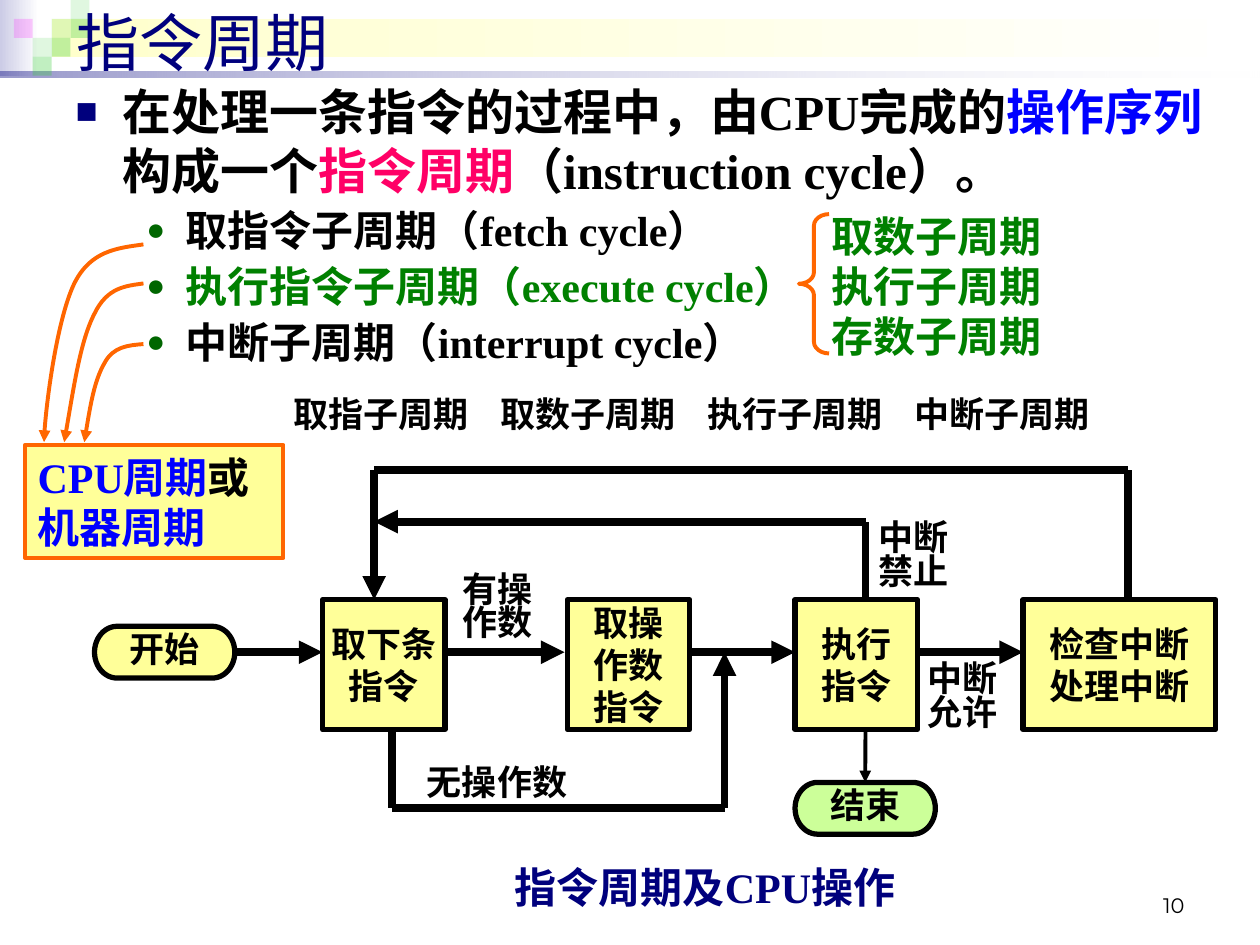
"""Builds the instruction cycle slide with its CPU flow chart."""
from lxml import etree
from pptx import Presentation
from pptx.dml.color import RGBColor
from pptx.enum.dml import MSO_LINE
from pptx.enum.lang import MSO_LANGUAGE_ID
from pptx.enum.shapes import MSO_CONNECTOR, MSO_SHAPE
from pptx.enum.text import MSO_ANCHOR, MSO_AUTO_SIZE, PP_ALIGN
from pptx.oxml.ns import qn
from pptx.util import Pt

RECT, TERMINATOR, BRACE = MSO_SHAPE.RECTANGLE, MSO_SHAPE.FLOWCHART_TERMINATOR, MSO_SHAPE.LEFT_BRACE
LEFT, CENTER, RIGHT = PP_ALIGN.LEFT, PP_ALIGN.CENTER, PP_ALIGN.RIGHT
TOP, MIDDLE, BOTTOM = MSO_ANCHOR.TOP, MSO_ANCHOR.MIDDLE, MSO_ANCHOR.BOTTOM
STRAIGHT, SOLID = MSO_CONNECTOR.STRAIGHT, MSO_LINE.SOLID
CHINESE, NO_FIT = MSO_LANGUAGE_ID.SIMPLIFIED_CHINESE, MSO_AUTO_SIZE.NONE
THEME = dict(
    navy="00007D", black="000000", white="FFFFFF", blue="0000FF", pink="FF0066", green="008000",
    dot="006600", yellow="FFFF99", lime="CCFF99", orange="FF6600", tile="33CC33", magenta="FF00FF",
    lilac="CCCCE6", cream="FFFFCC", serif="Times New Roman", sans="Arial", number="Montserrat",
    title=36, lead=28, text=24, label=20, small=12)
INSETS, FLUSH = (7.2, 3.6, 7.2, 3.6), (0, 0, 0, 0)

BANDS = [((0, 0, 22.3, 43.2), ("lilac", 100), ("white", 100)),
         ((29.5, 10.8, 687.6, 21.6), ("cream", 100), ("white", 100)),
         ((0, 41, 720, 3.6), ("navy", 40), ("white", 10))]
TILE, TILE_LEFT = 10.8, 7.9
TILES = [(2, 1, "tile", 15), (3, 0, "tile", 15), (3, 1, "tile", 30), (1, 2, "tile", 15),
         (0, 1, "magenta", 20), (2, 2, "tile", 30), (1, 3, "tile", 30)]
TITLE = "指令周期"
LEAD = [("在处理一条指令的过程中，由CPU完成的", "black"), ("操作序列", "blue"), ("构成一个", "black"),
        ("指令周期", "pink"), ("（instruction cycle）。", "black")]
CYCLES = [[("取指令子周期（fetch cycle）", "black")], [("执行指令子周期（execute cycle）", "green")],
          [("中断子周期（interrupt cycle）", "black")]]
PARTS = ["取数子周期", "执行子周期", "存数子周期"]
PHASES = ["取指子周期", "取数子周期", "执行子周期", "中断子周期"]
PHASE_PITCH = 118.3
CAPTION = "指令周期及CPU操作"
MACHINE = [("CPU周期", "blue"), ("或", "black"), ("\n", "black"), ("机器周期", "blue")]
NUMBER = "10"

BOX_TOP, BOX_HEIGHT, AXIS = 342.7, 74.2, 372.7
BOX_BOTTOM = BOX_TOP + BOX_HEIGHT
BOXES = [(184.3, 70, 0, ["取下条", "指令"]), (324.2, 70, 7.2, ["取操作数", "指令"]),
         (454.3, 70, 7.2, ["执行", "指令"]), (584.6, 110.2, 0, ["检查中断", "处理中断"])]
TERMINALS = {"开始": (54, 357.9, "yellow"), "结束": (454.3, 447.1, "lime")}
LABELS = [(529.9, 380.2, 40, 38, ["中断", "允许"]), (501.8, 299.5, 40, 38, ["中断", "禁止"]),
          (264.2, 329, 40, 38, ["有操", "作数"]), (244.1, 439.2, 80, 19.4, ["无操作数"])]
OUTER, INNER, BYPASS = 268.6, 298.1, 461.5
BACK, CHECK, RUN, SKIP, JOIN = 213.8, 644.4, 494.6, 223.9, 414
FLOWS = [(254.2, AXIS, 322.6, AXIS, True), (394.6, AXIS, 454.3, AXIS, True),
         (524.2, AXIS, 584.6, AXIS, True), (RUN, INNER, BACK, INNER, True),
         (BACK, OUTER, BACK, BOX_TOP, True), (BACK, OUTER, CHECK, OUTER, False),
         (CHECK, BOX_TOP, CHECK, OUTER, False), (RUN, BOX_TOP, RUN, INNER, False),
         (SKIP, BOX_BOTTOM, SKIP, BYPASS, False), (SKIP, BYPASS, JOIN, BYPASS, False),
         (JOIN, BYPASS, JOIN, AXIS, True)]
CURVES = [
    [(82, 139.7), (67, 141.8), (51.8, 143.3), (42.5, 162), (33.1, 181.4), (25.2, 237.6), (25.2, 252.7)],
    [(82, 162), (72, 163.4), (61.2, 164.2), (54, 179.3), (46.1, 194.4), (41.8, 223.9), (36.7, 252.7)],
    [(82, 196.6), (73.4, 197.3), (64.8, 198), (59.8, 207.4), (54, 217.4), (51.1, 234.7), (48.2, 252.7)]]


def rgb(name):
    return RGBColor.from_string(THEME[name])


def sub(parent, tag, **attrs):
    return etree.SubElement(parent, qn(tag), attrs)


def place(sp, box):
    for name, value in zip(("left", "top", "width", "height"), box):
        setattr(sp, name, Pt(value))


def frame(sp, anchor=MIDDLE, insets=FLUSH, wrap=True):
    tf = sp.text_frame
    margins = zip(("margin_left", "margin_top", "margin_right", "margin_bottom"), map(Pt, insets))
    for name, value in dict(margins, vertical_anchor=anchor, word_wrap=wrap, auto_size=NO_FIT).items():
        setattr(tf, name, value)
    return tf


def write(tf, paragraphs, size, face="serif", color="black", bold=True, **layout):
    for i, runs in enumerate(paragraphs):
        p = tf.add_paragraph() if i else tf.paragraphs[0]
        for name, value in dict(dict(alignment=LEFT, space_before=Pt(0)), **layout).items():
            setattr(p, name, value)
        for text, tone in [(runs, color)] if isinstance(runs, str) else runs:
            if text == "\n":
                p.add_line_break()
                continue
            r = p.add_run()
            r.text = text
            style = dict(name=THEME[face], size=Pt(THEME[size]), bold=bold, language_id=CHINESE)
            for name, value in style.items():
                setattr(r.font, name, value)
            r.font.color.rgb = rgb(tone)


def outline(sp, color, width, arrow=False):
    sp.line.dash_style = SOLID
    sp.line.color.rgb = rgb(color)
    sp.line.width = Pt(width)
    if arrow:
        sub(sp.line._get_or_add_ln(), "a:tailEnd", type="triangle")


def shape(s, kind, box, fill=None, line=None, width=3):
    sp = s.shapes.add_shape(kind, *map(Pt, box))
    sp.shadow.inherit = False
    if fill:
        sp.fill.solid()
        sp.fill.fore_color.rgb = rgb(fill)
    else:
        sp.fill.background()
    if line:
        outline(sp, line, width)
    else:
        sp.line.fill.background()
    return sp


def textbox(s, box, **options):
    return frame(s.shapes.add_textbox(*map(Pt, box)), **options)


def fade(sp, opacities):
    for color, opacity in zip(sp._element.spPr.iter(qn("a:srgbClr")), opacities):
        sub(color, "a:alpha", val=str(opacity * 1000))


def connector(s, x1, y1, x2, y2, arrow=True, width=4.5):
    c = s.shapes.add_connector(STRAIGHT, *map(Pt, (x1, y1, x2, y2)))
    outline(c, "black", width, arrow)
    sub(c._element.spPr, "a:effectLst")
    return c


def curve(s, points):
    points = [(Pt(x), Pt(y)) for x, y in points]
    builder = s.shapes.build_freeform(*points[0])
    builder.add_line_segments(points[1:], close=False)
    sp = builder.convert_to_shape()
    sp.shadow.inherit = False
    sp.fill.background()
    outline(sp, "orange", 2.25, True)
    segments = list(sp._element.spPr.iter(qn("a:lnTo")))
    for i in range(0, len(segments), 3):
        bezier = sub(segments[i].getparent(), "a:cubicBezTo")
        for segment in segments[i:i + 3]:
            bezier.append(segment[0])
            segment.getparent().remove(segment)


def bullet(p, char, color, margin, indent):
    pPr = p._p.get_or_add_pPr()
    pPr.set("marL", str(Pt(margin)))
    pPr.set("indent", str(Pt(indent)))
    sub(sub(pPr, "a:buClr"), "a:srgbClr", val=THEME[color])
    sub(pPr, "a:buSzPct", val="75000")
    sub(pPr, "a:buChar", char=char)


def header(s):
    for box, *stops in BANDS:
        sp = shape(s, RECT, box)
        sp.fill.gradient()
        sp.fill.gradient_angle = 0
        for stop, (color, _) in zip(sp.fill.gradient_stops, stops):
            stop.color.rgb = rgb(color)
        fade(sp, [opacity for _, opacity in stops])
    for col, row, color, opacity in TILES:
        sp = shape(s, RECT, (TILE_LEFT + col * TILE, row * TILE, TILE, TILE), color)
        fade(sp, [opacity])


def text(s):
    title, body = s.shapes.title, s.placeholders[1]
    for sp, box in ((title, (36.7, -2.2, 674.6, 51.1)), (body, (36, 43.2, 675.4, 187.2))):
        s.shapes._spTree.append(sp._element)
        place(sp, box)
    write(frame(title, MIDDLE, INSETS), [TITLE], "title", "sans", "navy", False)
    tf = frame(body, TOP, INSETS)
    write(tf, [LEAD], "lead")
    bullet(tf.paragraphs[0], "■", "navy", 27, -27)
    for runs in CYCLES:
        p = tf.add_paragraph()
        bullet(p, "●", "dot", 63, -22.5)
        write(type("Line", (), {"paragraphs": [p]}), [runs], "text", level=1, space_before=Pt(3))


def flow_chart(s):
    tf = frame(shape(s, RECT, (167.8, 224.6, 455.8, 23.8), "white"), wrap=False)
    tabs = sub(tf.paragraphs[0]._p.get_or_add_pPr(), "a:tabLst")
    for i in range(1, len(PHASES)):
        sub(tabs, "a:tab", pos=str(Pt(i * PHASE_PITCH)), algn="l")
    write(tf, ["\t".join(PHASES)], "label")
    write(frame(shape(s, RECT, (247, 492.5, 311.8, 28.8), "white")), [CAPTION], "text", color="navy",
          alignment=CENTER)
    for left, width, inset, lines in BOXES:
        sp = shape(s, RECT, (left, BOX_TOP, width, BOX_HEIGHT), "yellow", "black")
        write(frame(sp, insets=(inset, 0, inset, 0)), lines, "label", "sans", alignment=CENTER)
    ends = {}
    for name, (left, top, fill) in TERMINALS.items():
        ends[name] = shape(s, TERMINATOR, (left, top, 80.2, 29.6), fill, "black")
        write(frame(ends[name], insets=(0, 0, 0, 4)), [name], "label", alignment=CENTER)
    for flow in FLOWS:
        connector(s, *flow)
    connector(s, 134.2, AXIS, BOXES[0][0], AXIS).begin_connect(ends["开始"], 3)
    connector(s, RUN, BOX_BOTTOM, RUN, 447.1, width=2.25).end_connect(ends["结束"], 0)
    for *box, lines in LABELS:
        write(textbox(s, box, wrap=False), lines, "label", alignment=CENTER, line_spacing=0.8)


def callouts(s):
    write(textbox(s, (468, 116.6, 159.1, 93.6), anchor=TOP, insets=INSETS), PARTS, "text", color="green")
    shape(s, BRACE, (456.5, 122.4, 17.3, 79.6), None, "orange", 2.25).adjustments[0] = 0.38
    sp = shape(s, RECT, (14.4, 254.2, 147.6, 64.8), "yellow", "orange", 2.25)
    write(frame(sp, TOP, INSETS), [MACHINE], "text")
    for points in CURVES:
        curve(s, points)
    write(textbox(s, (516.2, 491.8, 167.8, 36), anchor=BOTTOM, insets=INSETS), [NUMBER], "small", "number",
          bold=False, alignment=RIGHT)


def main():
    prs = Presentation()
    prs.slide_width, prs.slide_height = Pt(720), Pt(540)
    s = prs.slides.add_slide(prs.slide_layouts[1])
    for part in (header, text, flow_chart, callouts):
        part(s)
    prs.save("out.pptx")


if __name__ == "__main__":
    main()
